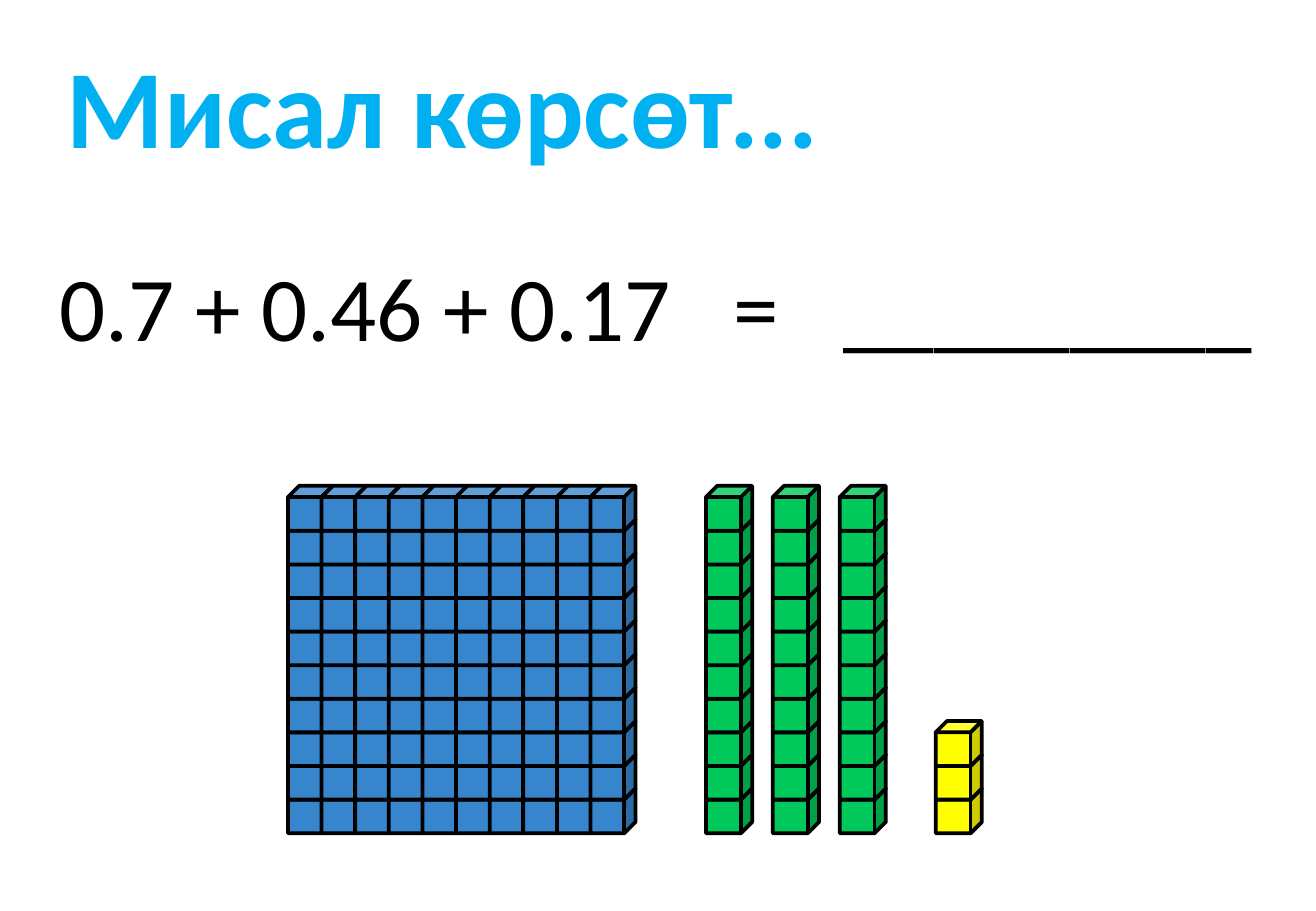
import pptx
import pptx.util
import pptx.dml.color
import pptx.enum.shapes
import pptx.enum.text

Inches = pptx.util.Inches
Pt = pptx.util.Pt

HEADING = "Мисал көрсөт..."
SUM = "0.7 + 0.46 + 0.17\t=\t_________"
SUM_TABS = (5.55, 6.45)
COLORS = {
    "heading": "00B0F0",
    "text": "000000",
    "outline": "000000",
    "hundred": "3786CD",
    "ten": "00C85A",
    "one": "FFFF00",
}
BLOCKS = [
    {"kind": "one", "left": 7.7, "columns": 1, "rows": 3, "width": 0.38},
    {"kind": "ten", "left": 6.91, "columns": 1, "rows": 10, "width": 0.38},
    {"kind": "hundred", "left": 2.37, "columns": 10, "rows": 10, "width": 0.37},
    {"kind": "ten", "left": 6.36, "columns": 1, "rows": 10, "width": 0.38},
    {"kind": "ten", "left": 5.81, "columns": 1, "rows": 10, "width": 0.38},
]
TOP_ROW, BOTTOM_ROW = 4.0, 6.49
CUBE_HEIGHT = 0.37
STEP = (BOTTOM_ROW - TOP_ROW) / 9


def color(name):
    return pptx.dml.color.RGBColor.from_string(COLORS[name])


def write(holder, text, *, size, fill, bold=False, margin=0.31, tabs=()):
    frame = holder.text_frame
    frame.word_wrap = True
    frame.auto_size = pptx.enum.text.MSO_AUTO_SIZE.NONE
    frame.vertical_anchor = pptx.enum.text.MSO_ANCHOR.TOP
    frame.margin_left = Inches(margin)
    line = frame.paragraphs[0]
    line.text = text
    line.alignment = pptx.enum.text.PP_ALIGN.LEFT
    if tabs:
        stops = line._p.get_or_add_pPr().makeelement(pptx.oxml.ns.qn("a:tabLst"), {})
        line._p.pPr.append(stops)
        for position in tabs:
            stop = stops.makeelement(
                pptx.oxml.ns.qn("a:tab"), {"pos": str(Inches(position)), "algn": "l"}
            )
            stops.append(stop)
    font = line.runs[0].font
    font.name = "Calibri"
    font.size = Pt(size)
    font.bold = bold
    font.color.rgb = color(fill)


def build_block(slide, kind, left, columns, rows, width):
    block = slide.shapes.add_group_shape()
    for column in range(columns):
        for row in range(rows):
            cube = block.shapes.add_shape(
                pptx.enum.shapes.MSO_SHAPE.CUBE,
                Inches(left + column * STEP),
                Inches(BOTTOM_ROW - row * STEP),
                Inches(width),
                Inches(CUBE_HEIGHT),
            )
            cube.shadow.inherit = False
            cube.fill.solid()
            cube.fill.fore_color.rgb = color(kind)
            cube.line.color.rgb = color("outline")
            cube.line.width = Pt(2.25)


def main():
    deck = pptx.Presentation()
    deck.slide_width, deck.slide_height = Inches(10.83), Inches(7.5)
    slide = deck.slides.add_slide(deck.slide_layouts[5])

    heading = slide.shapes.title
    heading.left, heading.top = Inches(0.24), Inches(0.26)
    heading.width, heading.height = Inches(7.54), Inches(1.21)
    write(heading, HEADING, size=66, fill="heading", bold=True)

    addition = slide.shapes.add_textbox(
        Inches(0.18), Inches(2.01), Inches(10.47), Inches(1.01)
    )
    write(addition, SUM, size=54, fill="text", tabs=SUM_TABS)

    for block in BLOCKS:
        build_block(slide, **block)

    deck.save("out.pptx")


if __name__ == "__main__":
    main()
